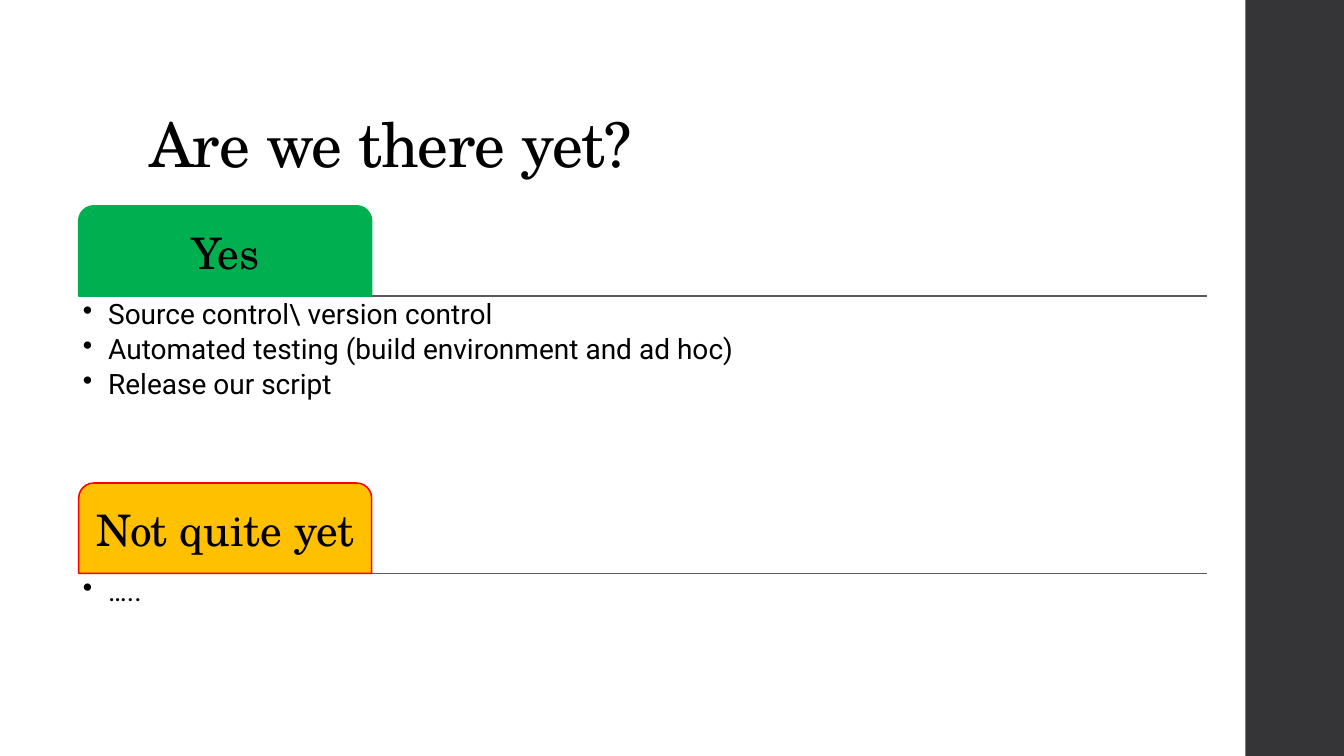
from pptx import Presentation
from pptx.dml.color import RGBColor
from pptx.enum.shapes import MSO_CONNECTOR, MSO_SHAPE
from pptx.enum.text import MSO_ANCHOR, PP_ALIGN
from pptx.oxml.ns import qn
from pptx.util import Pt
from lxml import etree

PX = 9525
LINE = MSO_CONNECTOR.STRAIGHT
RECT, TAB = MSO_SHAPE.RECTANGLE, MSO_SHAPE.ROUND_2_SAME_RECTANGLE
TOP, MIDDLE, BOTTOM = MSO_ANCHOR.TOP, MSO_ANCHOR.MIDDLE, MSO_ANCHOR.BOTTOM
LEFT, CENTER = PP_ALIGN.LEFT, PP_ALIGN.CENTER
BLACK = RGBColor(0x00, 0x00, 0x00)
DARK = RGBColor(0x35, 0x35, 0x37)
GRAY = RGBColor(0x59, 0x59, 0x5D)
GREEN = RGBColor(0x00, 0xB0, 0x50)
AMBER = RGBColor(0xFF, 0xC0, 0x00)
RED = RGBColor(0xFF, 0x00, 0x00)
SERIF, SANS = "TeX Gyre Schola", "Roboto"


def box(*spot):
    return [n * PX for n in spot]


def write(shape, lines, size, font=SERIF, align=LEFT, anchor=TOP,
          inset=(4, 4, 4, 4), after=0, bullet=False, track=0):
    frame = shape.text_frame
    frame.word_wrap = True
    frame.vertical_anchor = anchor
    (frame.margin_left, frame.margin_top,
     frame.margin_right, frame.margin_bottom) = box(*inset)
    for i, line in enumerate(lines):
        para = frame.add_paragraph() if i else frame.paragraphs[0]
        para.alignment = align
        para.line_spacing = 0.9
        para.space_after = Pt(after)
        if bullet:
            props = para._p.get_or_add_pPr()
            props.set("marL", str(24 * PX))
            props.set("indent", str(-24 * PX))
            etree.SubElement(props, qn("a:buChar"), char="•")
        run = para.add_run()
        run.text = line
        run.font.name = font
        run.font.size = Pt(size)
        run.font.color.rgb = BLACK
        if track:
            run._r.get_or_add_rPr().set("spc", str(track))


deck = Presentation()
deck.slide_width, deck.slide_height = box(1280, 720)
slide = deck.slides.add_slide(deck.slide_layouts[6])
shapes = slide.shapes

band = shapes.add_shape(RECT, *box(1186, 0, 94, 720))
band.shadow.inherit = False
band.fill.solid()
band.fill.fore_color.rgb = DARK
band.line.fill.background()

title = shapes.add_textbox(*box(132, 38, 1018, 139))
write(title, ["Are we there yet?"], 44, anchor=BOTTOM,
      inset=(10, 5, 10, 5), track=-50)

groups = [
    ("Yes", GREEN, GREEN, [
        "Source control\\ version control",
        "Automated testing (build environment and ad hoc)",
        "Release our script"]),
    ("Not quite yet", AMBER, RED, ["….."]),
]
for i, (name, fill, edge, items) in enumerate(groups):
    base = 282 + 264 * i
    rule = shapes.add_connector(LINE, *box(75, base, 1150, base))
    rule.line.color.rgb = GRAY
    rule.line.width = Pt(1.1)
    etree.SubElement(rule._element.spPr, qn("a:effectLst"))

    tab = shapes.add_shape(TAB, *box(75, base - 86, 279, 86))
    tab.shadow.inherit = False
    tab.fill.solid()
    tab.fill.fore_color.rgb = fill
    tab.line.color.rgb = edge
    tab.line.width = Pt(1.1)
    write(tab, [name], 31, align=CENTER, anchor=MIDDLE, inset=(6, 10, 6, 6))

    body = shapes.add_textbox(*box(75, base, 1075, 174))
    write(body, items, 20, font=SANS, after=3.5, bullet=True)

deck.save("out.pptx")
